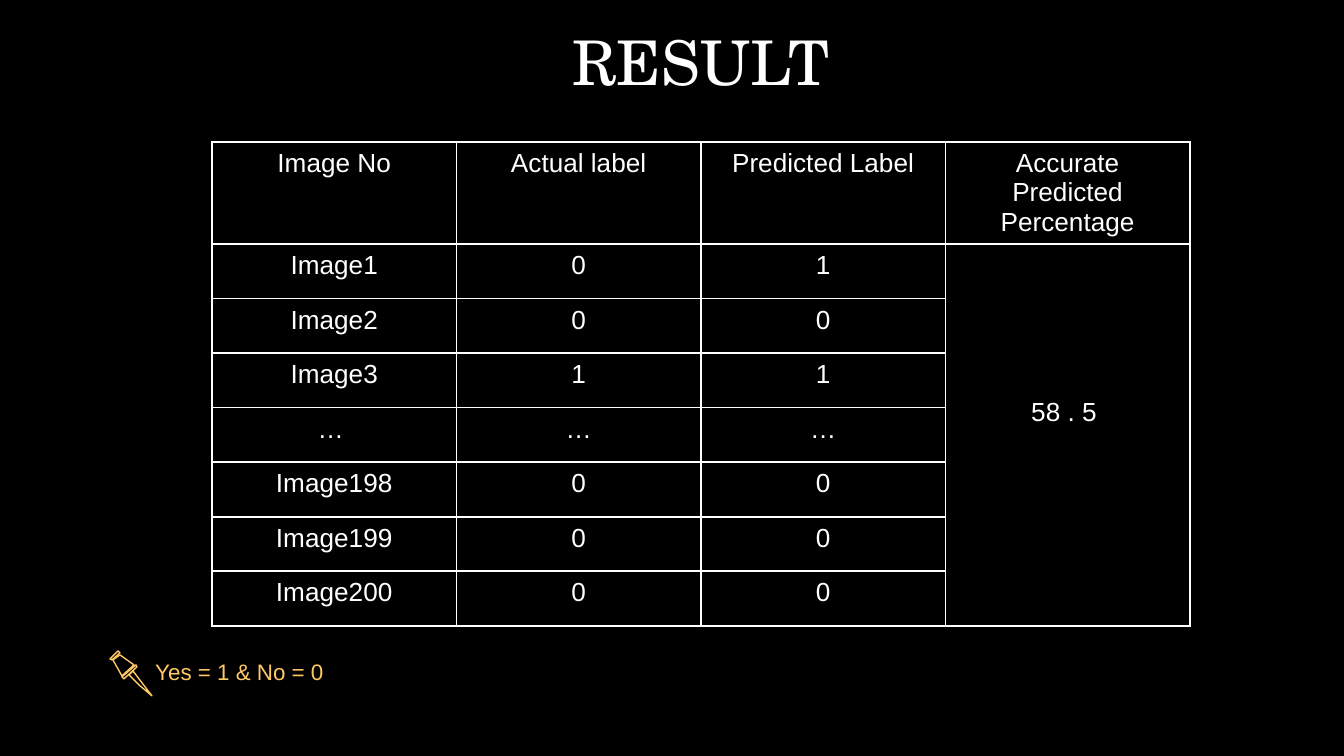
from collections import namedtuple
from dataclasses import dataclass

from lxml.etree import SubElement
from pptx import Presentation
from pptx.dml.color import RGBColor as Rgb
from pptx.enum.text import MSO_ANCHOR as Anchor, MSO_AUTO_SIZE as AutoSize, PP_ALIGN as Align
from pptx.oxml import parse_xml
from pptx.oxml.ns import nsdecls, qn
from pptx.util import Emu, Pt

Box = namedtuple("Box", "left top width height")
EMU_PER_PX = 914400 / 134.4


@dataclass(frozen=True)
class Theme:
    background: str = "000000"
    text: str = "FFFFFF"
    accent: str = "FFC865"
    heading_font: str = "TeX Gyre Schola"
    body_font: str = "Arial"
    heading_size: int = 33
    table_size: int = 14
    legend_size: int = 12
    border_width: float = 1
    pin_width: float = 0.75


THEME = Theme()

HEADERS = ["Image No", "Actual label", "Predicted Label", "Accurate Predicted Percentage"]
PREDICTIONS = [
    ("Image1", "0", "1"),
    ("Image2", "0", "0"),
    ("Image3", "1", "1"),
    ("… ", "…", "…"),
    ("Image198", "0", "0"),
    ("Image199", "0", "0"),
    ("Image200", "0", "0"),
]
ACCURACY = "58 . 5 "
HEADER_HEIGHT = 102
ACCURACY_INSET = 154

PIN_PARTS = [
    [(0, 8), (2, 9), (10, 2), (8, 0)],
    [(3, 9), (12, 25), (24, 14), (10, 4)],
    [(12, 26), (14, 28), (27, 16), (26, 14)],
    [(19, 24), (29, 34), (42, 45), (23, 20)],
]


def px(length):
    return Emu(round(length * EMU_PER_PX))


def scaled(box):
    return [px(length) for length in box]


def write(frame, text, size, color, font, align=Align.LEFT):
    paragraph = frame.paragraphs[0]
    paragraph.alignment = align
    run = paragraph.add_run()
    run.text = text
    run.font.size = Pt(size)
    run.font.name = font
    run.font.color.rgb = Rgb.from_string(color)


def add_heading(slide, box):
    heading = slide.shapes.title
    heading.left, heading.top, heading.width, heading.height = scaled(box)
    frame = heading.text_frame
    frame.auto_size = AutoSize.NONE
    frame.vertical_anchor = Anchor.TOP
    frame.margin_left = frame.margin_right = frame.margin_top = frame.margin_bottom = px(13)
    write(frame, "RESULT", THEME.heading_size, THEME.text, THEME.heading_font, Align.CENTER)


def outline_cell(cell):
    cell.fill.background()
    properties = cell._tc.get_or_add_tcPr()
    for position, side in enumerate(("lnL", "lnR", "lnT", "lnB")):
        border = parse_xml(f'<a:{side} {nsdecls("a")} w="{Pt(THEME.border_width)}"/>')
        fill = SubElement(border, qn("a:solidFill"))
        SubElement(fill, qn("a:srgbClr"), val=THEME.text)
        properties.insert(position, border)


def add_results(slide, box):
    rows, columns = len(PREDICTIONS) + 1, len(HEADERS)
    results = slide.shapes.add_table(rows, columns, *scaled(box)).table
    results.first_row = results.horz_banding = False
    for column in results.columns:
        column.width = px(box.width / columns)
    for index, row in enumerate(results.rows):
        row.height = px((box.height - HEADER_HEIGHT) / len(PREDICTIONS) if index else HEADER_HEIGHT)
    for cell in results.iter_cells():
        outline_cell(cell)

    accuracy = results.cell(1, columns - 1)
    accuracy.merge(results.cell(rows - 1, columns - 1))
    accuracy.margin_top = px(ACCURACY_INSET)
    entries = [HEADERS, *PREDICTIONS]
    entries[1] = (*entries[1], ACCURACY)
    for row, labels in enumerate(entries):
        for column, label in enumerate(labels):
            write(results.cell(row, column).text_frame, label, THEME.table_size,
                  THEME.text, THEME.body_font, Align.CENTER)


def add_pin(slide, box):
    first, *others = PIN_PARTS
    outline = slide.shapes.build_freeform(*first[0], scale=EMU_PER_PX)
    outline.add_line_segments(first[1:], close=True)
    for part in others:
        outline.move_to(*part[0])
        outline.add_line_segments(part[1:], close=True)
    pin = outline.convert_to_shape(px(box.left), px(box.top))
    pin.fill.background()
    pin.line.color.rgb = Rgb.from_string(THEME.accent)
    pin.line.width = Pt(THEME.pin_width)
    pin.shadow.inherit = False


def add_legend(slide, box):
    add_pin(slide, Box(box.left, box.top, 42, 45))
    label_box = Box(box.left + 32, box.top + 1, box.width - 32, 40)
    frame = slide.shapes.add_textbox(*scaled(label_box)).text_frame
    frame.word_wrap = False
    frame.auto_size = AutoSize.SHAPE_TO_FIT_TEXT
    write(frame, "Yes = 1 & No = 0", THEME.legend_size, THEME.accent, THEME.body_font)


def main():
    presentation = Presentation()
    presentation.slide_width, presentation.slide_height = px(1344), px(756)
    slide = presentation.slides.add_slide(presentation.slide_layouts.get_by_name("Title Only"))
    slide.background.fill.solid()
    slide.background.fill.fore_color.rgb = Rgb.from_string(THEME.background)
    add_heading(slide, Box(132, 11, 1138, 97))
    add_results(slide, Box(212, 142, 978, 484))
    add_legend(slide, Box(110, 651, 231, 45))
    presentation.save("out.pptx")


if __name__ == "__main__":
    main()
